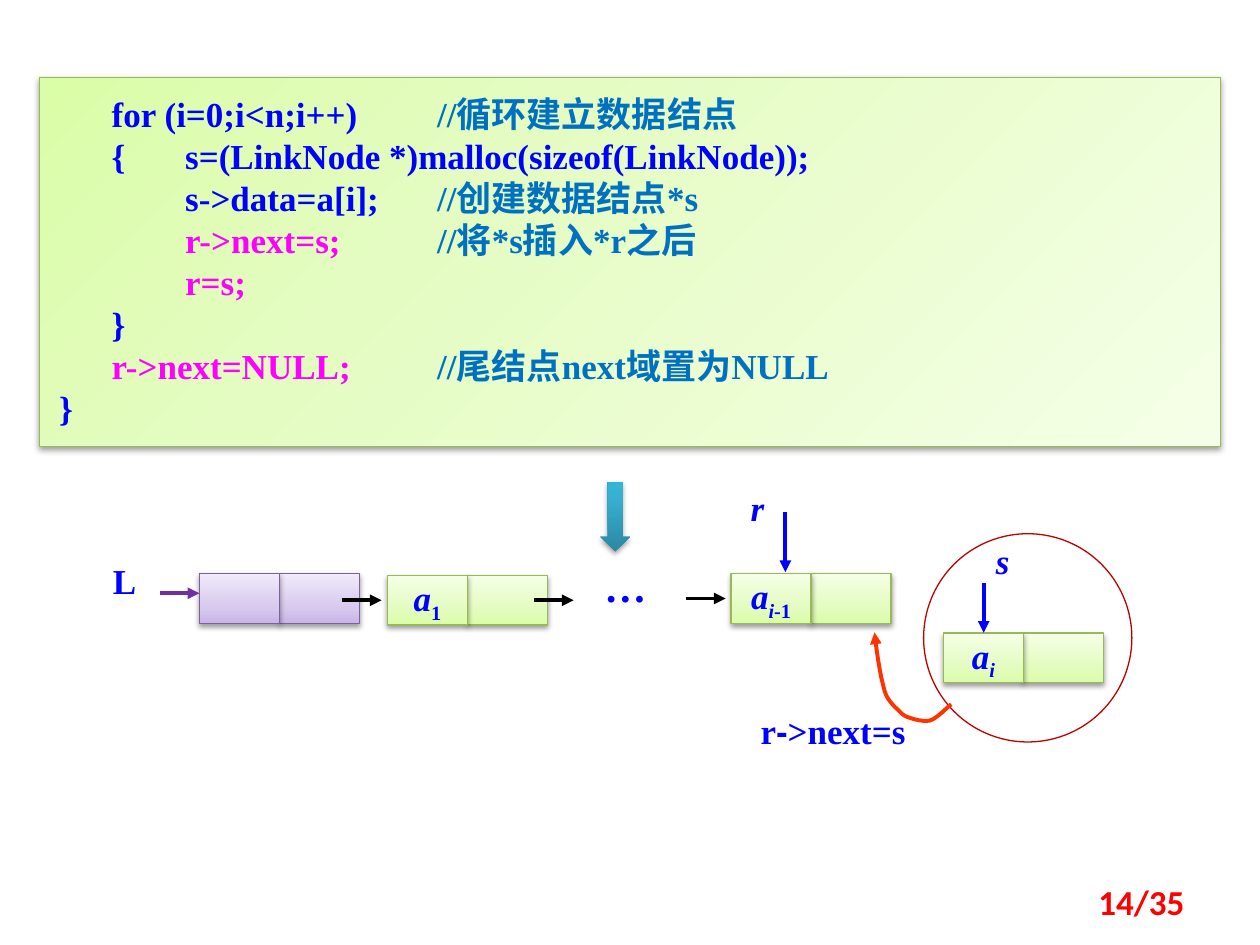
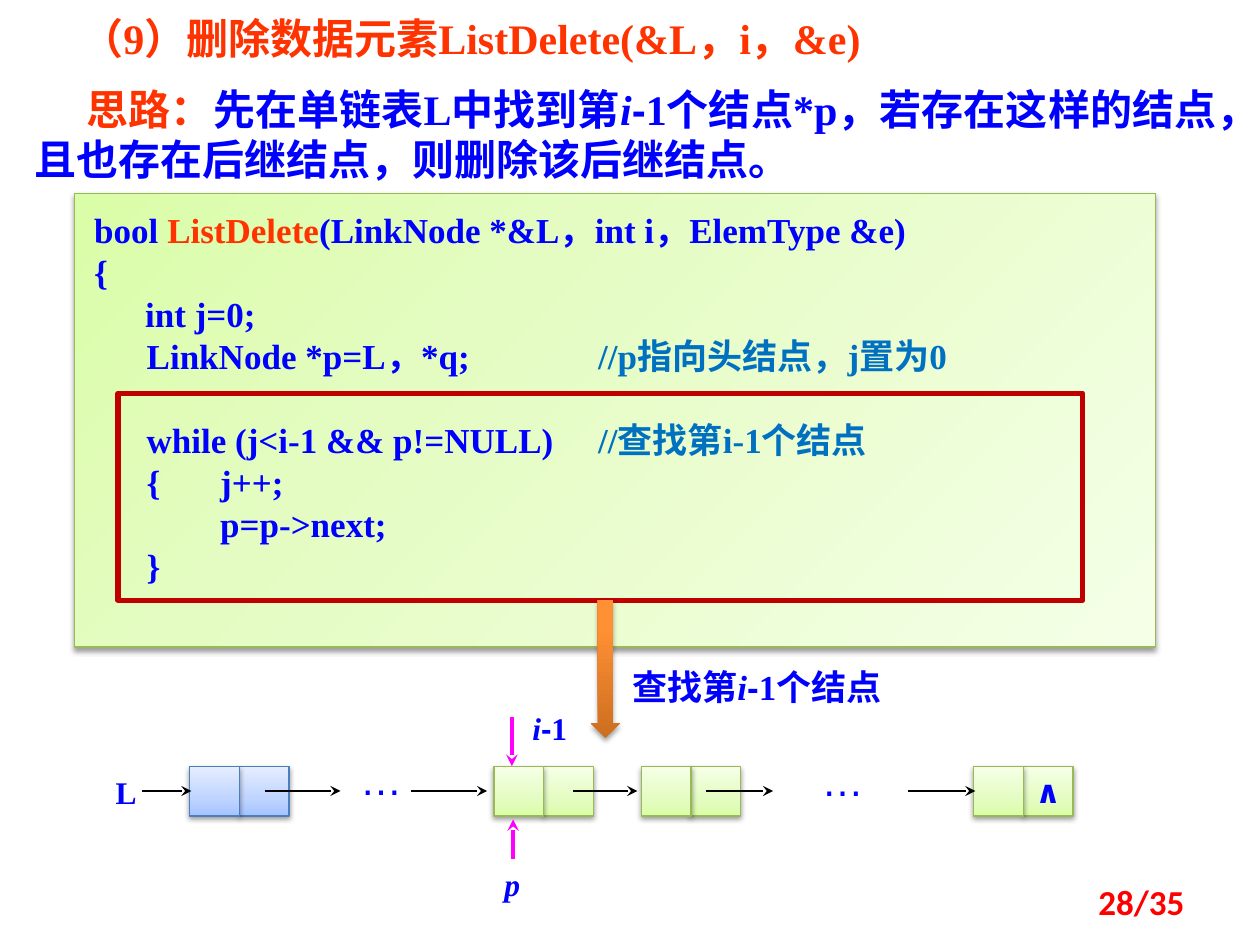
"""Build two lecture slides on singly linked lists: tail insertion and deletion."""
from collections import namedtuple

from lxml import etree
from pptx import Presentation
from pptx import util as u
from pptx.dml.color import RGBColor
from pptx.enum import shapes, text
from pptx.oxml import ns

BLUE = RGBColor(0x00, 0x00, 0xFF)
COMMENT = RGBColor(0x00, 0x70, 0xC0)
MAGENTA = RGBColor(0xFF, 0x00, 0xFF)
ORANGE = RGBColor(0xFF, 0x33, 0x00)
RED = RGBColor(0xFF, 0x00, 0x00)
DARK_RED = RGBColor(0xC0, 0x00, 0x00)
PURPLE = RGBColor(0x70, 0x30, 0xA0)
BLACK = RGBColor(0x00, 0x00, 0x00)

SERIF, SANS, NUMBER, SYMBOL = "Times New Roman", "Arial", "Calibri", "DejaVu Sans"
CELL_HEIGHT = 28.4
TAB_WIDTH = 72

Palette = namedtuple("Palette", "stops border")
Part = namedtuple("Part", "words color font bold italic lowered")


def palette(stops, border=None):
    """Make a palette from (percent, hex colour) stops and a border colour."""
    colors = [(percent, RGBColor.from_string(value)) for percent, value in stops]
    return Palette(colors, border and RGBColor.from_string(border))


GREEN_FILL = palette([(0, "DAFDA7"), (35, "E4FCC2"), (100, "F5FFE7")], "98B955")
PURPLE_FILL = palette([(0, "C9B5E8"), (35, "D8CBEE"), (100, "F0EAF9")], "7D60A0")
BLUE_FILL = palette([(0, "A4C4FF"), (35, "BFD4FF"), (100, "E6EEFF")], "4B7EBC")
TEAL_FILL = palette([(0, "2A88A2"), (80, "37B1D2"), (100, "34B4D6")])
ORANGE_FILL = palette([(0, "CC6E20"), (80, "FF9034"), (100, "FF9136")])


def part(words, color=BLUE, font=SERIF, bold=True, italic=False, lowered=False):
    """Describe one run of text."""
    return Part(words, color, font, bold, italic, lowered)


def italic(words, lowered=False):
    """Describe an italic run, such as a variable or its index."""
    return part(words, italic=True, lowered=lowered)


def minus():
    """Describe the sans-serif minus sign."""
    return part("-", font=SANS)


def points(values):
    """Convert numbers to lengths in points."""
    return [u.Pt(value) for value in values]


def child(parent, tag, **attributes):
    """Append a DrawingML element."""
    element = etree.SubElement(parent, ns.qn("a:" + tag))
    for name, value in attributes.items():
        element.set(name, str(value))
    return element


def write_paragraph(paragraph, parts, size, align=None):
    """Write the runs of one paragraph."""
    paragraph.alignment = align
    for piece in parts:
        run = paragraph.add_run()
        run.text = piece.words
        run.font.size = u.Pt(size)
        run.font.name = piece.font
        run.font.bold = piece.bold
        run.font.italic = piece.italic
        run.font.color.rgb = piece.color
        if piece.lowered:
            run.font._element.set("baseline", "-25000")


def add_label(slide, at, parts, size=20, align=None):
    """Add a one-paragraph text box."""
    frame = slide.shapes.add_textbox(*points(at)).text_frame
    frame.word_wrap = True
    write_paragraph(frame.paragraphs[0], parts, size, align)
    return frame


def add_filled(slide, kind, at, colors, angle=270):
    """Add a preset shape with a gradient and a soft shadow."""
    shape = slide.shapes.add_shape(kind, *points(at))
    shape.fill.gradient()
    properties = shape.element.spPr
    gradient = properties.find(ns.qn("a:gradFill"))
    for element in list(gradient):
        gradient.remove(element)
    stops = child(gradient, "gsLst")
    for percent, color in colors.stops:
        child(child(stops, "gs", pos=percent * 1000), "srgbClr", val=color)
    child(gradient, "lin", ang=angle * 60000, scaled=0)
    if colors.border:
        shape.line.color.rgb = colors.border
        shape.line.width = u.Pt(0.75)
    else:
        shape.line.fill.background()
    shape.shadow.inherit = False
    shadow = child(properties.find(ns.qn("a:effectLst")), "outerShdw", blurRad=u.Pt(3.1),
                   dist=u.Pt(1.7), dir=90 * 60000, rotWithShape=0)
    child(child(shadow, "srgbClr", val="000000"), "alpha", val=38000)
    return shape


def add_outline(slide, kind, at, width):
    """Add an unfilled dark red shape that marks an area."""
    shape = slide.shapes.add_shape(kind, *points(at))
    shape.fill.background()
    shape.line.color.rgb = DARK_RED
    shape.line.width = u.Pt(width)
    shape.shadow.inherit = False


def add_code(slide, at, lines, gap_before=None):
    """Add a code panel with tab stops, and an optional gap before one line."""
    panel = add_filled(slide, shapes.MSO_SHAPE.RECTANGLE, at, GREEN_FILL, 45)
    frame = panel.text_frame
    frame.word_wrap = True
    frame.vertical_anchor = text.MSO_ANCHOR.TOP
    frame.margin_left = frame.margin_right = u.Pt(11.34)
    frame.margin_top = frame.margin_bottom = u.Pt(8.5)
    for number, parts in enumerate(lines):
        paragraph = frame.add_paragraph() if number else frame.paragraphs[0]
        if number == gap_before:
            paragraph.space_before = u.Pt(24)
        tabs = child(paragraph._p.get_or_add_pPr(), "tabLst")
        for column in range(1, 7):
            child(tabs, "tab", pos=u.Pt(column * TAB_WIDTH), algn="l")
        write_paragraph(paragraph, parts, 20, text.PP_ALIGN.LEFT)


def add_node(slide, left, top, width, colors, data=(), link=(), size=20):
    """Add a list node: a data cell and a link cell."""
    for column, parts in ((1, link), (0, data)):
        at = (left + column * width, top, width, CELL_HEIGHT)
        frame = add_filled(slide, shapes.MSO_SHAPE.RECTANGLE, at, colors).text_frame
        frame.word_wrap = False
        frame.vertical_anchor = text.MSO_ANCHOR.MIDDLE
        write_paragraph(frame.paragraphs[0], parts, size, text.PP_ALIGN.CENTER)


def style_arrow(shape, color, width, head):
    """Colour a line and put an arrowhead at its end."""
    shape.line.color.rgb = color
    shape.line.width = u.Pt(width)
    child(shape.element.spPr.find(ns.qn("a:ln")), "tailEnd", type=head)


def add_arrow(slide, ends, color=BLACK, width=2.25, head="triangle"):
    """Add a straight arrow between two points."""
    arrow = slide.shapes.add_connector(shapes.MSO_CONNECTOR.STRAIGHT, *points(ends))
    style_arrow(arrow, color, width, head)
    child(arrow.element.spPr, "effectLst")


def add_curve(slide, start, segments, color, steps=6):
    """Add a curved arrow along cubic segments."""
    track, here = [], start
    for first, second, end in segments:
        for step in range(1, steps + 1):
            t = step / steps
            weights = ((1 - t) ** 3, 3 * t * (1 - t) ** 2, 3 * t * t * (1 - t), t ** 3)
            corners = (here, first, second, end)
            track.append(points(sum(w * c[axis] for w, c in zip(weights, corners))
                                for axis in (0, 1)))
        here = end
    builder = slide.shapes.build_freeform(*points(start))
    builder.add_line_segments(track, close=False)
    curve = builder.convert_to_shape()
    curve.fill.background()
    curve.shadow.inherit = False
    style_arrow(curve, color, 2.25, "triangle")


def add_page_number(slide, number):
    """Add the page number at the bottom right."""
    frame = add_label(slide, (516.2, 500.7, 167.8, 28.8),
                      [part(f"{number}/35", RED, NUMBER)], 20, text.PP_ALIGN.RIGHT)
    frame.vertical_anchor = text.MSO_ANCHOR.MIDDLE


def build_insertion(slide):
    """Show the loop that appends nodes at the tail."""
    add_code(slide, (22.5, 44.4, 675, 211), [
        [part("      for (i=0;i<n;i++)\t"), part("//循环建立数据结点", COMMENT)],
        [part("      {\ts=(LinkNode *)malloc(sizeof(LinkNode));")],
        [part("\ts->data=a[i];\t"), part("//创建数据结点*s", COMMENT)],
        [part("\tr->next=s;\t", MAGENTA), part("//将*s插入*r之后", COMMENT)],
        [part("\tr=s;", MAGENTA)],
        [part("      }")],
        [part("      r->next=NULL;\t", MAGENTA), part("//尾结点next域置为NULL", COMMENT)],
        [part("}")],
    ])
    add_filled(slide, shapes.MSO_SHAPE.DOWN_ARROW, (343.1, 275.6, 16.9, 39.6), TEAL_FILL)
    add_outline(slide, shapes.MSO_SHAPE.OVAL, (527.8, 305, 119, 119), 0.75)

    nodes = [
        (114, 327.8, PURPLE_FILL, []),
        (221.4, 328.8, GREEN_FILL, [italic("a"), part("1", lowered=True)]),
        (417.8, 327.8, GREEN_FILL,
         [italic("a"), italic("i", True), part("-1", lowered=True)]),
        (539.2, 361.8, GREEN_FILL, [italic("a"), italic("i", True)]),
    ]
    for left, top, colors, data in nodes:
        add_node(slide, left, top, 45.7, colors, data)

    add_arrow(slide, (91.4, 339, 114, 339), PURPLE)
    for left, y in ((195.3, 343), (305, 343), (391.9, 342)):
        add_arrow(slide, (left, y, left + 22.8, y))
    add_arrow(slide, (448.8, 292.5, 448.8, 326.9), BLUE)
    add_arrow(slide, (562.1, 333.4, 562.1, 361.6), BLUE)
    add_curve(slide, (543.6, 402.5), [
        ((541.4, 404), (535.7, 410.4), (531.4, 411.8)),
        ((527.8, 412.6), (522, 411.1), (518.4, 409.7)),
        ((514.8, 408.2), (514.8, 406.8), (511.2, 403.9)),
        ((508.3, 400.3), (506.2, 398.9), (504.7, 391.7)),
        ((502.6, 384.5), (500.4, 367.9), (499.7, 361.4)),
    ], ORANGE)

    add_label(slide, (421.9, 274.6, 45.4, 31), [italic("r")])
    add_label(slide, (57.4, 316.1, 39.6, 31), [part("L")])
    add_label(slide, (338.2, 316.8, 39.6, 36), [part("…")], 24)
    add_label(slide, (562, 304.9, 45.4, 31), [italic("s")])
    add_label(slide, (427.5, 401.8, 101.5, 31.7), [part("r"), minus(), part(">next=s")])
    add_page_number(slide, 14)


def build_deletion(slide):
    """Show the search step of deleting an element."""
    frame = add_label(slide, (12.4, 3.8, 689.8, 108.7),
                      [part("（9）删除数据元素ListDelete(&L，i，&e)", ORANGE)],
                      24, text.PP_ALIGN.JUSTIFY)
    idea = frame.add_paragraph()
    idea.space_before = u.Pt(11.5)
    write_paragraph(idea, [
        part("思路：", ORANGE), part("先在单链表L中找到第"), italic("i"), minus(),
        part("1个结点*p，若存在这样的结点，且也存在后继结点，则删除该后继结点。"),
    ], 24, text.PP_ALIGN.JUSTIFY)
    for paragraph, indent in zip(frame.paragraphs, (27, 30)):
        paragraph._p.get_or_add_pPr().set("indent", str(u.Pt(indent)))

    add_code(slide, (42.5, 110.4, 617.8, 259.4), [
        [part("bool "), part("ListDelete", ORANGE),
         part("(LinkNode *&L，int i，ElemType &e)")],
        [part("{")],
        [part(" 　 int j=0;")],
        [part("      LinkNode *p=L，*q;\t\t"), part("//p指向头结点，j置为0", COMMENT)],
        [part("      while (j<i-1 && p!=NULL)\t"), part("//查找第i-1个结点", COMMENT)],
        [part("      {\tj++;")],
        [part("\tp=p->next;")],
        [part("      }")],
    ], gap_before=4)
    add_outline(slide, shapes.MSO_SHAPE.RECTANGLE, (67.5, 224.7, 551.2, 118.3), 3)
    add_filled(slide, shapes.MSO_SHAPE.DOWN_ARROW, (337.5, 342.9, 16.9, 78.8), ORANGE_FILL)

    end_mark = [part("∧", font=SYMBOL)]
    for left, colors, link in ((108.4, BLUE_FILL, []), (282.3, GREEN_FILL, []),
                               (366.5, GREEN_FILL, []), (556.4, GREEN_FILL, end_mark)):
        add_node(slide, left, 437.9, CELL_HEIGHT, colors, link=link, size=18)
    for start, end in ((81.2, 109.4), (151.2, 194.6), (234.9, 278.4),
                       (327.5, 364.2), (403.4, 441.8), (518.9, 557.4)):
        add_arrow(slide, (start, 452, end, 452), width=0.75, head="stealth")
    add_arrow(slide, (292.5, 409.5, 292.5, 437.8), MAGENTA, head="stealth")
    add_arrow(slide, (293.2, 491, 293.2, 468.2), MAGENTA, head="stealth")

    add_label(slide, (354.2, 376.6, 202.3, 31.7),
              [part("查找第"), italic("i"), minus(), part("1个结点")])
    add_label(slide, (59, 438.1, 24, 28.8), [part("L")], 18)
    add_label(slide, (297.1, 401.8, 46.1, 28.8), [italic("i"), minus(), part("1")], 18)
    add_label(slide, (281.2, 490.6, 28.1, 28.8), [italic("p")], 18)
    for left, top in ((198.7, 427), (462.4, 427.7)):
        add_label(slide, (left, top, 56.9, 36), [part("…", font=SANS, bold=False)], 24)
    add_page_number(slide, 28)


def main():
    """Build and save the presentation."""
    presentation = Presentation()
    presentation.slide_width, presentation.slide_height = points((720, 540))
    for build in (build_insertion, build_deletion):
        build(presentation.slides.add_slide(presentation.slide_layouts[6]))
    presentation.save("out.pptx")


if __name__ == "__main__":
    main()
